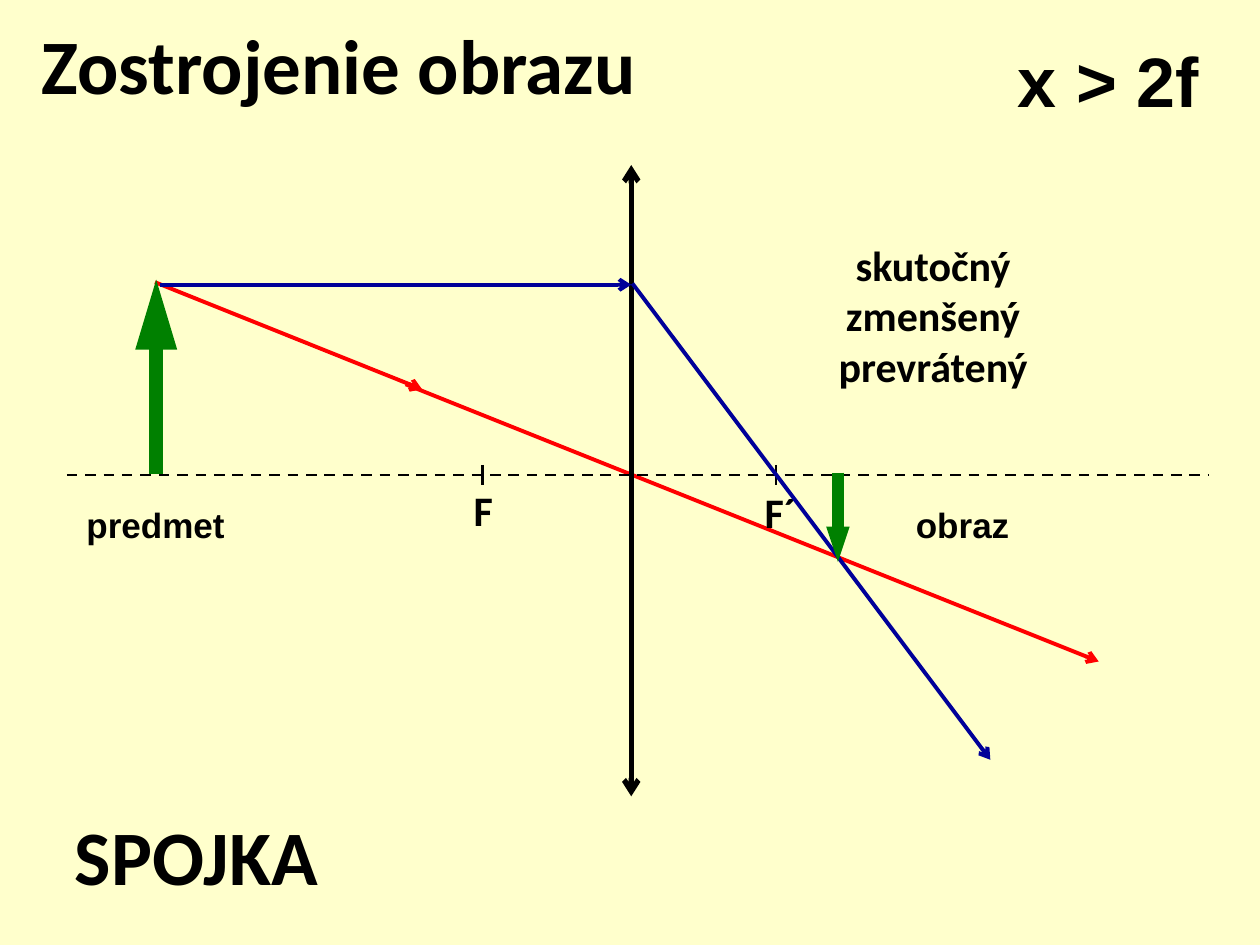
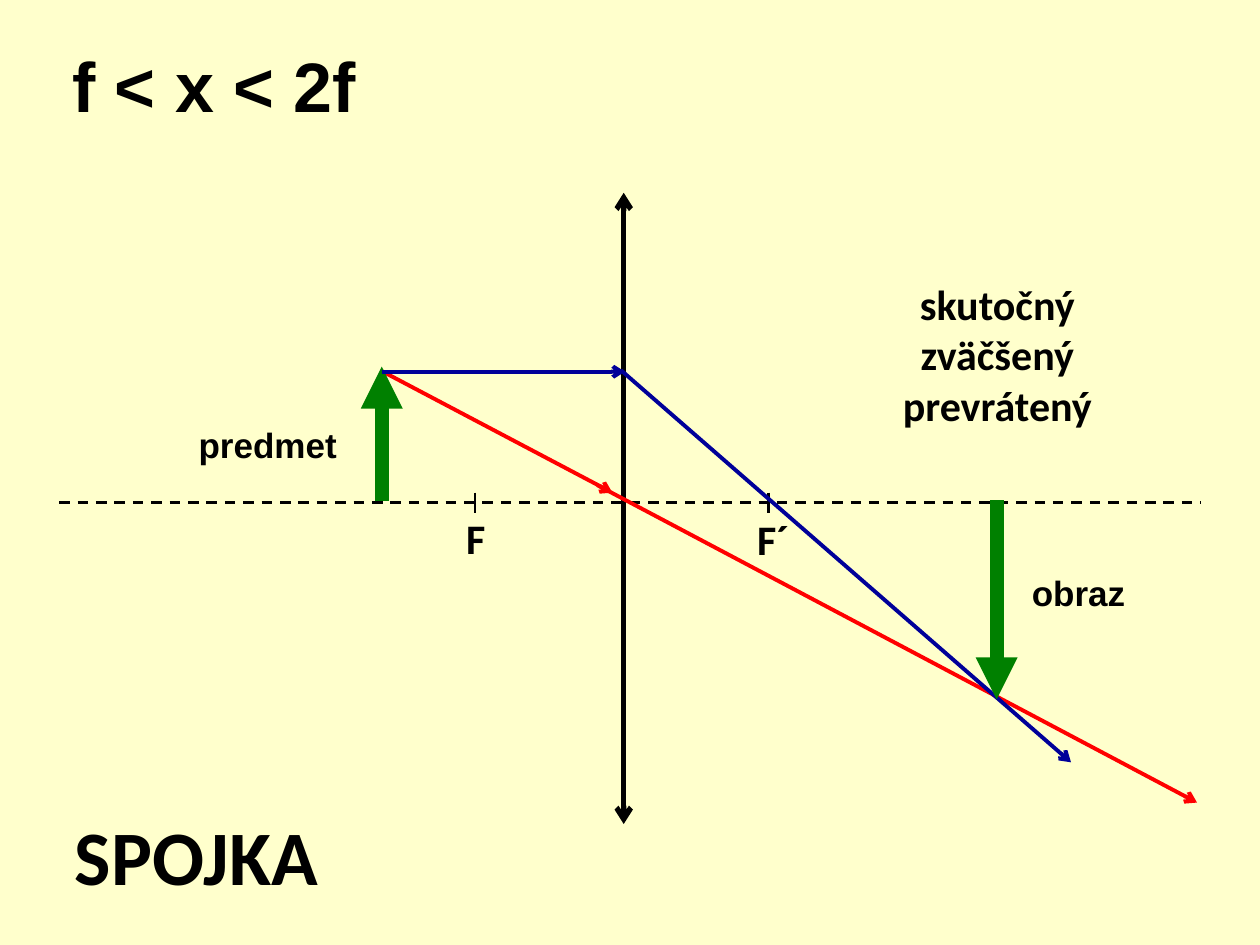
import pptx
import pptx.util
import pptx.dml.color
import pptx.enum.dml
import pptx.enum.shapes
import pptx.enum.text
import pptx.oxml.ns
from dataclasses import dataclass
from lxml import etree
from typing import NamedTuple

Inches = pptx.util.Inches
Point = tuple[float, float]
ALIGN = pptx.enum.text.PP_ALIGN


@dataclass(frozen=True)
class Theme:
    paper: str = "FFFFCC"
    ink: str = "000000"
    red: str = "FF0000"
    blue: str = "000099"
    green: str = "008000"
    sans: str = "Calibri"
    plain: str = "Arial"
    head: int = 44
    rule: int = 40
    note: int = 24
    tag: int = 20
    ray: float = 2.25
    thin: float = 1.5
    lens: float = 3
    thick: float = 8


THEME = Theme()


class Tip(NamedTuple):
    kind: str = "arrow"
    wide: str = "med"
    long: str = "med"


class Line(NamedTuple):
    start: Point
    end: Point
    color: str
    width: float
    tail: Tip | None = None
    head: Tip | None = None
    dash: bool = False


class Label(NamedTuple):
    text: str
    left: float
    top: float
    width: float
    height: float
    size: int
    font: str = THEME.sans
    align: ALIGN = ALIGN.CENTER
    inset: Point = (0.1, 0.1)


class Scene(NamedTuple):
    title: Label
    center: Point
    under: list[Line]
    over: list[Line]
    labels: list[Label]


def ray(start: Point, end: Point, color: str) -> Line:
    return Line(start, end, color, THEME.ray, Tip())


def body(start: Point, end: Point, width: float = THEME.thick,
         wide: str = "med", long: str = "med") -> Line:
    return Line(start, end, THEME.green, width, Tip("triangle", wide, long))


def tag(text: str, left: float, top: float, width: float) -> Label:
    return Label(text, left, top, width, 0.44, THEME.tag, THEME.plain)


def traits(text: str, left: float, top: float) -> Label:
    return Label(text, left, top, 2.05, 1.31, THEME.note)


def draw_line(slide, line: Line) -> None:
    shape = slide.shapes.add_connector(
        pptx.enum.shapes.MSO_CONNECTOR.STRAIGHT,
        *(Inches(v) for v in line.start + line.end))
    pen = shape.line
    pen.width = pptx.util.Pt(line.width)
    pen.color.rgb = pptx.dml.color.RGBColor.from_string(line.color)
    if line.dash:
        pen.dash_style = pptx.enum.dml.MSO_LINE.DASH
    qn = pptx.oxml.ns.qn
    props = shape.element.spPr
    node = props.find(qn("a:ln"))
    for name, tip in (("a:headEnd", line.head), ("a:tailEnd", line.tail)):
        if tip:
            etree.SubElement(node, qn(name), type=tip.kind, w=tip.wide, len=tip.long)
    etree.SubElement(props, qn("a:effectLst"))


def fill_text(shape, label: Label) -> None:
    shape.left, shape.top = Inches(label.left), Inches(label.top)
    shape.width, shape.height = Inches(label.width), Inches(label.height)
    frame = shape.text_frame
    frame.text = label.text
    frame.word_wrap = True
    frame.auto_size = pptx.enum.text.MSO_AUTO_SIZE.SHAPE_TO_FIT_TEXT
    frame.vertical_anchor = pptx.enum.text.MSO_ANCHOR.TOP
    frame.margin_left, frame.margin_right = (Inches(v) for v in label.inset)
    frame.margin_top = frame.margin_bottom = Inches(0.05)
    for para in frame.paragraphs:
        para.alignment = label.align
        font = para.font
        font.name, font.size, font.bold = label.font, pptx.util.Pt(label.size), True
        font.color.rgb = pptx.dml.color.RGBColor.from_string(THEME.ink)


def draw_label(slide, label: Label) -> None:
    fill_text(slide.shapes.add_textbox(0, 0, 0, 0), label)


# Lens, optical axis and focal points, placed around the lens centre
def draw_lens(slide, center: Point) -> None:
    x, y = center
    ink = THEME.ink
    draw_line(slide, Line((x, y - 2.46), (x, y + 2.55), ink, THEME.lens, Tip(), Tip()))
    draw_line(slide, Line((x - 4.48, y), (x + 4.58, y), ink, THEME.thin, dash=True))
    for focus in (x - 1.18, x + 1.15):
        draw_line(slide, Line((focus, y - 0.08), (focus, y + 0.08), ink, THEME.thin))
    draw_label(slide, Label("F", x - 1.53, y + 0.03, 0.71, 0.5, THEME.note))
    draw_label(slide, Label("F´", x + 0.95, y + 0.04, 0.47, 0.5, THEME.note))


def draw_scene(deck, scene: Scene) -> None:
    slide = deck.slides.add_slide(deck.slide_layouts[5])
    fill_text(slide.shapes.title, scene.title)
    for line in scene.under:
        draw_line(slide, line)
    draw_lens(slide, scene.center)
    for line in scene.over:
        draw_line(slide, line)
    for label in scene.labels:
        draw_label(slide, label)
    draw_label(slide, Label("SPOJKA", 0.24, 6.37, 2.64, 0.84, THEME.head))


SCENES = [
    # Object beyond twice the focal length
    Scene(
        title=Label("Zostrojenie obrazu", 0.23, 0.09, 5.43, 0.84, THEME.head,
                    align=ALIGN.LEFT),
        center=(5.01, 3.77),
        under=[
            ray((3.22, 3.05), (8.72, 5.25), THEME.red),
            ray((1.23, 2.24), (3.35, 3.09), THEME.red),
        ],
        over=[
            body((1.24, 3.76), (1.24, 2.22), long="lg"),
            ray((1.27, 2.26), (5.01, 2.26), THEME.blue),
            ray((5.02, 2.25), (7.86, 6.03), THEME.blue),
            body((6.65, 3.75), (6.65, 4.46), 6.75, wide="sm"),
        ],
        labels=[
            tag("predmet", 0.41, 3.95, 1.65),
            tag("obraz", 7.07, 3.95, 1.14),
            Label("x > 2f", 7.95, 0.25, 1.69, 0.77, THEME.rule, THEME.plain),
            traits("skutočný\nzmenšený\nprevrátený", 6.38, 1.85),
        ],
    ),
    # Object between one and two focal lengths
    Scene(
        title=Label("f < x < 2f", 0.31, 0.29, 2.68, 0.83, THEME.rule,
                    THEME.plain, inset=(0.1, 0)),
        center=(4.95, 3.99),
        under=[],
        over=[
            ray((4.74, 3.85), (9.5, 6.37), THEME.red),
            ray((3.02, 2.94), (4.86, 3.91), THEME.red),
            body((3.03, 3.98), (3.03, 2.91)),
            ray((3.03, 2.95), (4.96, 2.95), THEME.blue),
            ray((4.93, 2.94), (8.5, 6.05), THEME.blue),
            body((7.91, 3.97), (7.91, 5.55)),
        ],
        labels=[
            tag("predmet", 1.3, 3.31, 1.65),
            tag("obraz", 7.99, 4.49, 1.14),
            traits("skutočný\nzväčšený\nprevrátený", 6.89, 2.16),
        ],
    ),
]


def main() -> None:
    deck = pptx.Presentation()
    deck.slide_width, deck.slide_height = Inches(10), Inches(7.5)
    # Shared page colour
    fill = deck.slide_master.background.fill
    fill.solid()
    fill.fore_color.rgb = pptx.dml.color.RGBColor.from_string(THEME.paper)
    for scene in SCENES:
        draw_scene(deck, scene)
    deck.save("out.pptx")


if __name__ == "__main__":
    main()
